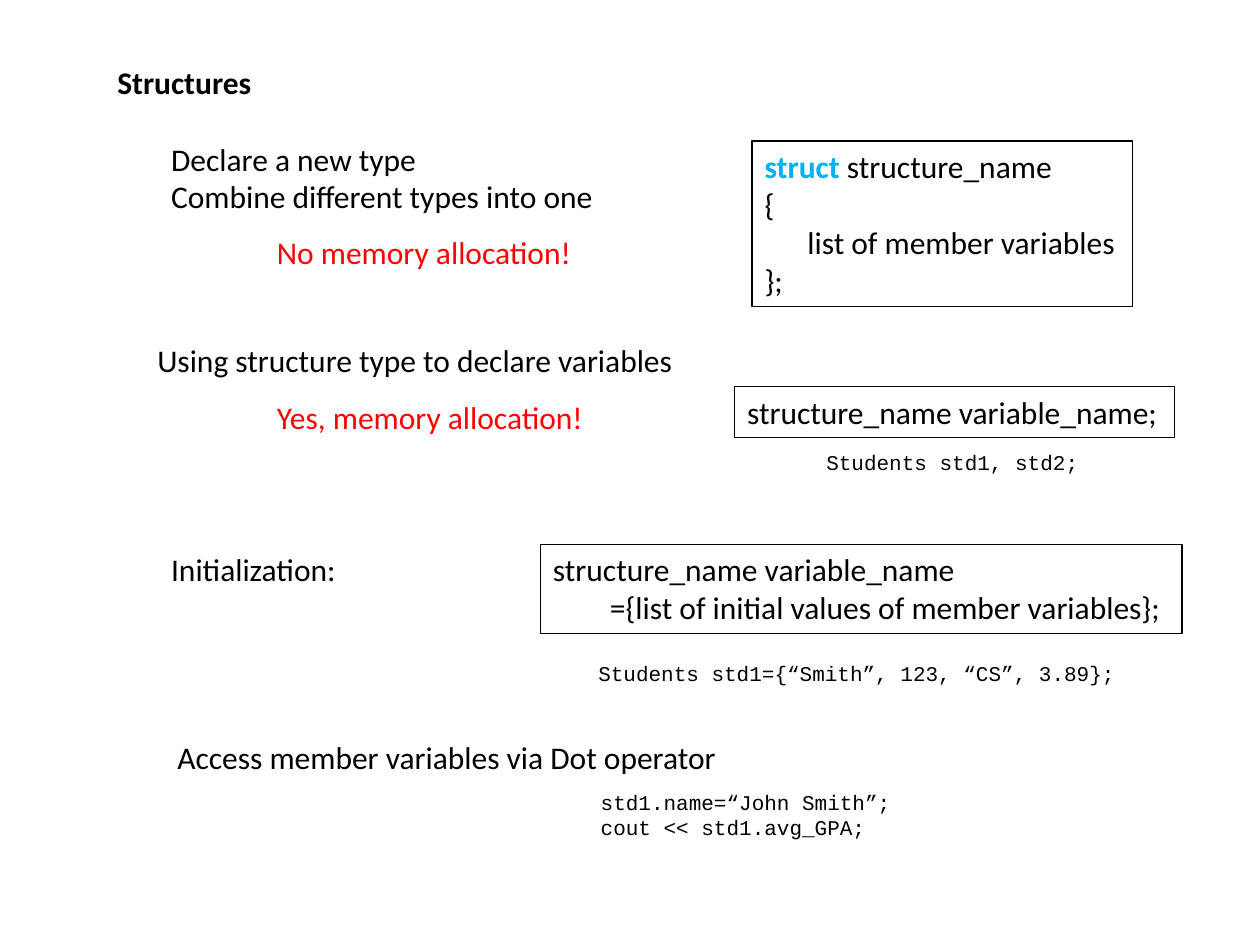
from dataclasses import dataclass

from pptx import Presentation
from pptx.dml.color import RGBColor
from pptx.enum import shapes, text
from pptx.util import Pt


@dataclass(frozen=True)
class Theme:
    ink: str = "000000"
    red: str = "FF0000"
    blue: str = "00B0F0"
    body: str = "Calibri"
    mono: str = "Courier New"
    size: float = 18
    small: float = 12
    line: float = 0.75


class Deck:
    def __init__(self, theme):
        self.theme = theme
        self.prs = Presentation()
        self.prs.slide_width, self.prs.slide_height = Pt(720), Pt(540)
        self.slide = self.prs.slides.add_slide(self.prs.slide_layouts[5])

    def run(self, para, words, **style):
        look = {"name": self.theme.body, "size": self.theme.size,
                "bold": False, "color": self.theme.ink} | style
        font = para.add_run()
        font.text = words
        font = font.font
        font.color.rgb = RGBColor.from_string(look.pop("color"))
        look["size"] = Pt(look["size"])
        for key, value in look.items():
            setattr(font, key, value)

    def fill(self, shape, lines, **style):
        frame = shape.text_frame
        format = {"word_wrap": False,
                  "auto_size": text.MSO_AUTO_SIZE.SHAPE_TO_FIT_TEXT,
                  "vertical_anchor": text.MSO_ANCHOR.TOP,
                  "margin_left": Pt(7.2), "margin_right": Pt(7.2),
                  "margin_top": Pt(3.6), "margin_bottom": Pt(3.6)}
        for key, value in format.items():
            setattr(frame, key, value)
        for index, line in enumerate(lines):
            para = frame.add_paragraph() if index else frame.paragraphs[0]
            para.alignment = text.PP_ALIGN.LEFT
            indent, parts = line if isinstance(line, tuple) else (0, line)
            if indent:
                para._p.get_or_add_pPr().set("marL", str(Pt(indent)))
            for part in [parts] if isinstance(parts, str) else parts:
                words, extra = (part, {}) if isinstance(part, str) else part
                self.run(para, words, **(style | extra))

    def title(self, box, words):
        shape = self.slide.shapes.title
        for key, value in zip(("left", "top", "width", "height"), box):
            setattr(shape, key, Pt(value))
        self.fill(shape, [words], bold=True)

    def note(self, box, *lines, **style):
        shape = self.slide.shapes.add_textbox(*map(Pt, box))
        self.fill(shape, lines, **style)

    def code(self, box, *lines):
        self.note(box, *lines, name=self.theme.mono, size=self.theme.small)

    def frame(self, box, *lines):
        shape = self.slide.shapes.add_shape(
            shapes.MSO_SHAPE.RECTANGLE, *map(Pt, box))
        shape.shadow.inherit = False
        shape.fill.background()
        shape.line.color.rgb = RGBColor.from_string(self.theme.ink)
        shape.line.width = Pt(self.theme.line)
        self.fill(shape, lines)


def main():
    theme = Theme()
    deck = Deck(theme)
    one, two, four = 29.1, 50.9, 94.5

    deck.title((59.8, 32.4, 91.4, one), "Structures")

    deck.note((90.7, 76.3, 262.8, two),
              "Declare a new type", "Combine different types into one")
    deck.frame((429.8, 80.6, 217.4, four),
               [("struct ", {"bold": True, "color": theme.blue}),
                "structure_name"],
               "{", (24.5, "list of member variables"), "};")
    deck.note((151.2, 129.6, 184.3, one),
              "No memory allocation!", color=theme.red)

    deck.note((82.8, 191.5, 312.5, one),
              "Using structure type to declare variables")
    deck.note((151.2, 223.9, 191.5, one),
              "Yes, memory allocation!", color=theme.red)
    deck.frame((419.8, 221, 251.3, one), "structure_name variable_name;")
    deck.code((465.1, 253.4, 161.3, 21.8), "Students std1, std2;")

    deck.note((90.7, 311, 110.2, one), "Initialization:")
    deck.frame((308.9, 311, 366.5, two), "structure_name variable_name",
               (32.5, "={list of initial values of member variables};"))
    deck.code((334.8, 373.7, 314.6, 21.8),
              "Students std1={“Smith”, 123, “CS”, 3.89};")

    deck.note((94.3, 418.3, 326.2, one),
              "Access member variables via Dot operator")
    deck.code((336.2, 447.8, 182.9, 36.4),
              "std1.name=“John Smith”;", "cout << std1.avg_GPA;")

    deck.prs.save("out.pptx")


if __name__ == "__main__":
    main()
